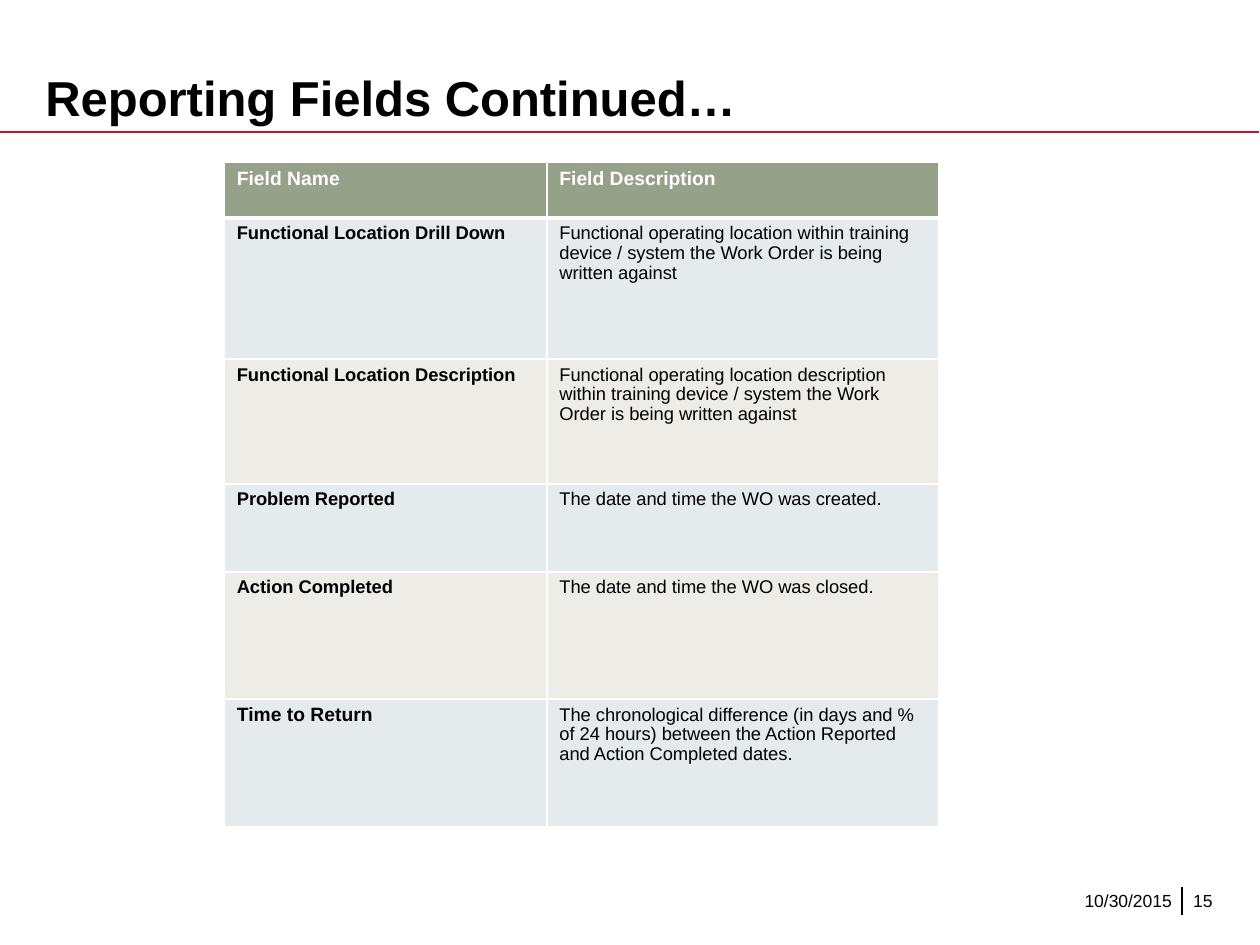
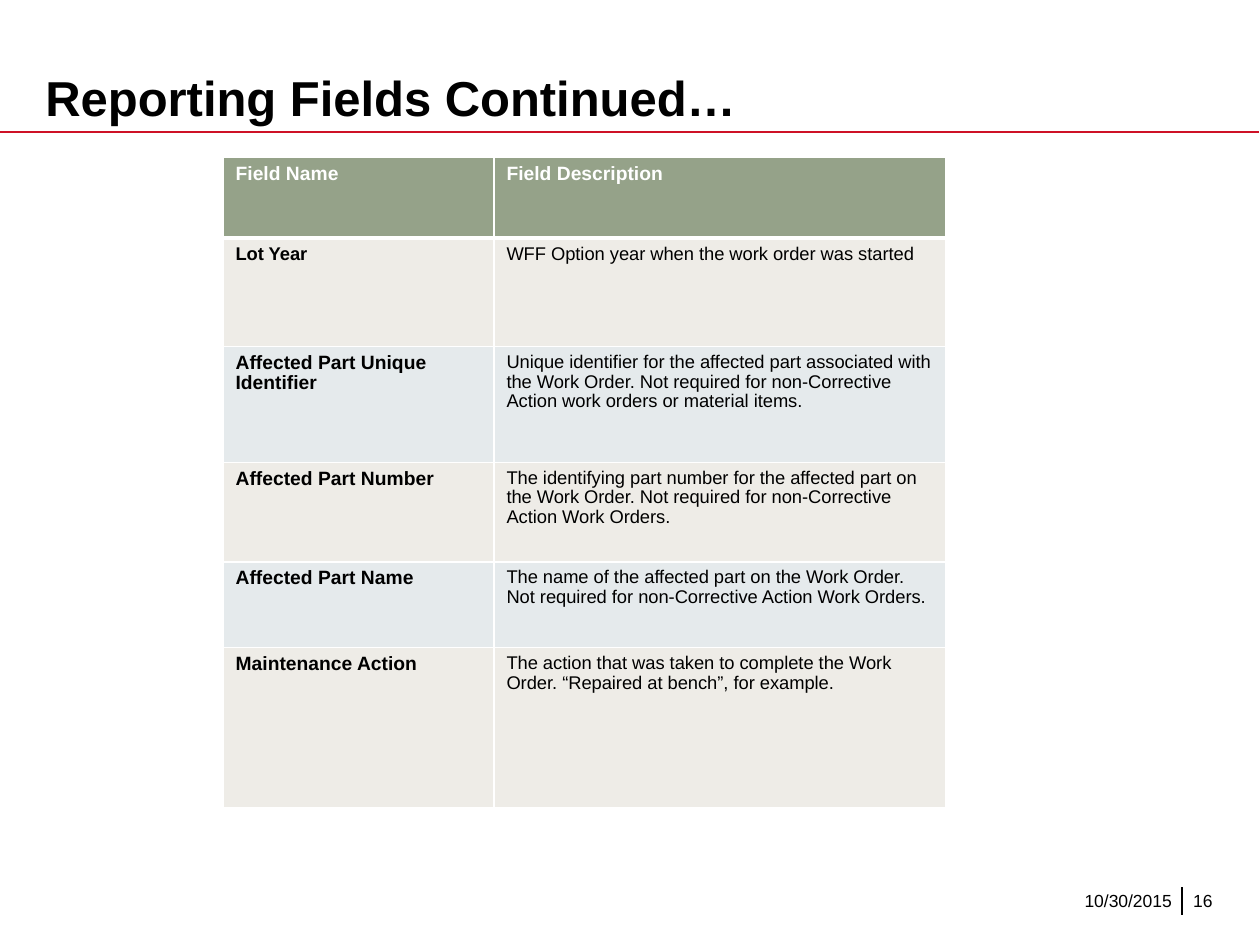
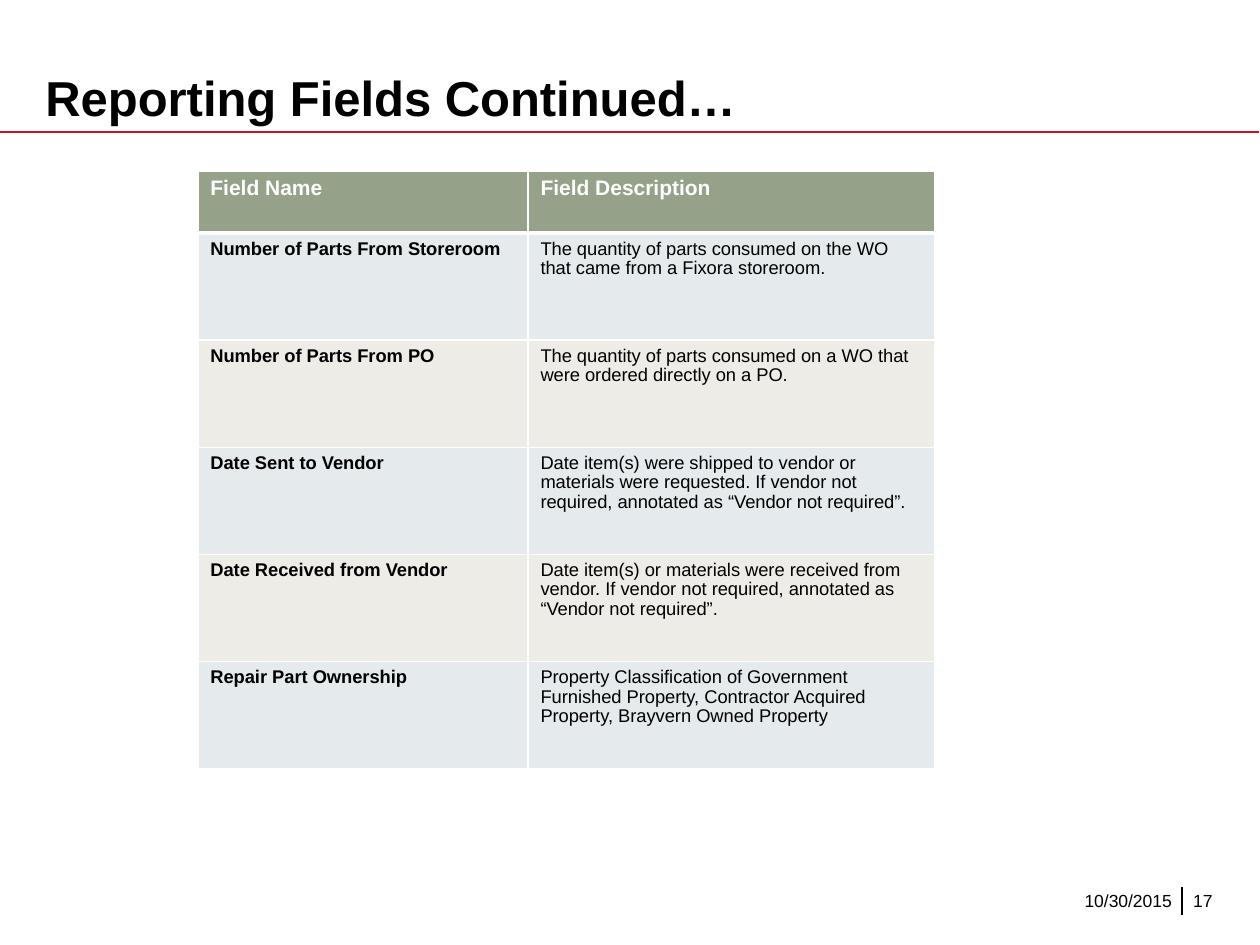
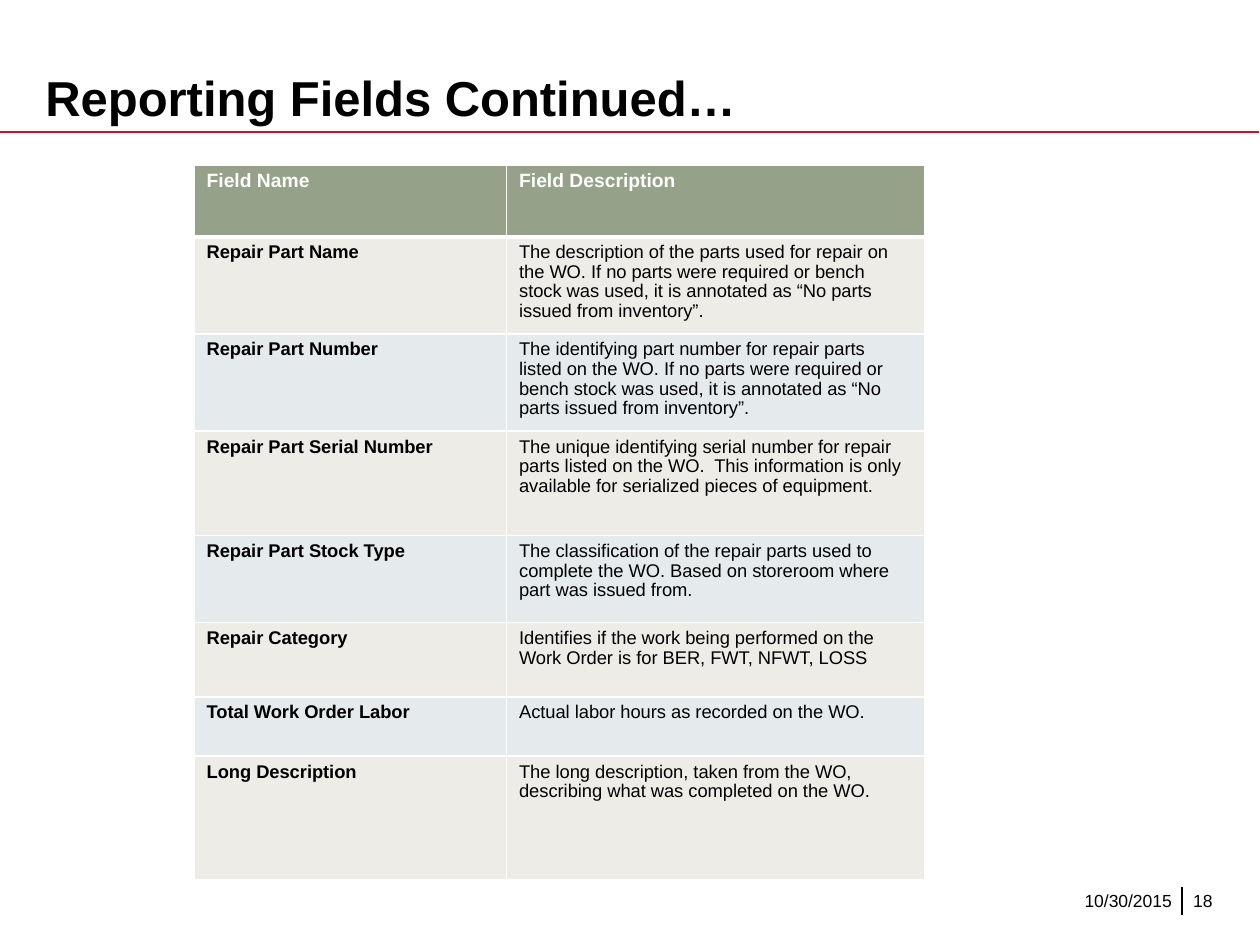
from dataclasses import dataclass

from lxml import etree
from pptx import Presentation
from pptx.dml.color import RGBColor
from pptx.enum import shapes, text
from pptx.oxml import ns
from pptx.util import Inches, Pt


@dataclass(frozen=True)
class Theme:
    font: str = "Arial"
    ink: str = "000000"
    paper: str = "FFFFFF"
    rule: str = "CE1126"
    header: str = "95A289"
    blue: str = "E5EAEC"
    sand: str = "EEECE7"
    title_size: float = 28
    label_size: float = 11
    body_size: float = 10.5
    footer_size: float = 10
    line_spacing: float = 0.96


class Deck:
    """Builds the report slides in one shared style."""

    def __init__(self, theme):
        self.theme = theme
        self.prs = Presentation()
        self.prs.slide_width, self.prs.slide_height = Inches(10), Inches(7.5)
        self.slide = None

    def style(self, paragraph, size, color, bold=False):
        for run in paragraph.runs:
            run.font.name = self.theme.font
            run.font.size = Pt(size)
            run.font.bold = bold
            run.font.color.rgb = RGBColor.from_string(color)

    def start(self, heading, date, number):
        self.slide = self.prs.slides.add_slide(self.prs.slide_layouts[5])
        self.line(0, 1.05, 9.99, 1.05, self.theme.rule)
        self.line(9.38, 7.04, 9.38, 7.26, self.theme.ink)
        self.title(heading)
        self.footer(date, 6.97, 2.33, 0.1, text.PP_ALIGN.RIGHT)
        self.footer(str(number), 9.47, 0.46, 0, text.PP_ALIGN.LEFT)

    def line(self, x1, y1, x2, y2, color):
        rule = self.slide.shapes.add_connector(
            shapes.MSO_CONNECTOR.STRAIGHT, Inches(x1), Inches(y1), Inches(x2), Inches(y2))
        rule.line.color.rgb = RGBColor.from_string(color)
        rule.line.width = Pt(1)
        etree.SubElement(rule._element.spPr, ns.qn("a:effectLst"))

    def title(self, heading):
        title = self.slide.shapes.title
        title.left, title.top = Inches(0.26), Inches(0.3)
        title.width, title.height = Inches(6.52), Inches(0.75)
        frame = title.text_frame
        frame.text = heading
        frame.auto_size = text.MSO_AUTO_SIZE.NONE
        frame.vertical_anchor = text.MSO_ANCHOR.BOTTOM
        frame.paragraphs[0].alignment = text.PP_ALIGN.LEFT
        self.style(frame.paragraphs[0], self.theme.title_size, self.theme.ink, True)

    def footer(self, words, left, width, inset, align):
        frame = self.slide.shapes.add_textbox(
            Inches(left), Inches(6.95), Inches(width), Inches(0.4)).text_frame
        frame.text = words
        frame.word_wrap = True
        frame.margin_left, frame.margin_right = Inches(inset), 0
        frame.vertical_anchor = text.MSO_ANCHOR.MIDDLE
        frame.paragraphs[0].alignment = align
        self.style(frame.paragraphs[0], self.theme.footer_size, self.theme.ink)

    def borders(self, cell, top=1, bottom=1):
        widths = {"lnL": 1, "lnR": 1, "lnT": top, "lnB": bottom}
        props = cell._tc.get_or_add_tcPr()
        for place, (tag, width) in enumerate(widths.items()):
            edge = etree.Element(ns.qn(f"a:{tag}"), w=str(Pt(width)))
            fill = etree.SubElement(edge, ns.qn("a:solidFill"))
            etree.SubElement(fill, ns.qn("a:srgbClr"), val=self.theme.paper)
            props.insert(place, edge)

    def cell(self, cell, words, size, color, bold, fill):
        cell.text = words
        paragraph = cell.text_frame.paragraphs[0]
        paragraph.line_spacing = self.theme.line_spacing
        self.style(paragraph, size, color, bold)
        cell.fill.solid()
        cell.fill.fore_color.rgb = RGBColor.from_string(fill)

    def field_table(self, left, top, widths, heights, fields, bands,
                    header_size=None, large_labels=()):
        theme = self.theme
        grid = self.slide.shapes.add_table(
            len(heights), len(widths), Inches(left), Inches(top),
            Inches(sum(widths)), Inches(sum(heights))).table
        for column, width in zip(grid.columns, widths):
            column.width = Inches(width)
        for row, height in zip(grid.rows, heights):
            row.height = Inches(height)
        for col, heading in enumerate(("Field Name", "Field Description")):
            self.cell(grid.cell(0, col), heading, header_size or theme.label_size,
                      theme.paper, True, theme.header)
            self.borders(grid.cell(0, col), bottom=3)
        for row, (name, description) in enumerate(fields, 1):
            band = bands[(row - 1) % 2]
            name_size = theme.label_size if row in large_labels else theme.body_size
            self.cell(grid.cell(row, 0), name, name_size, theme.ink, True, band)
            self.cell(grid.cell(row, 1), description, theme.body_size, theme.ink, False, band)
            for col in range(2):
                self.borders(grid.cell(row, col), top=3 if row == 1 else 1)


theme = Theme()
blue_first = (theme.blue, theme.sand)
sand_first = (theme.sand, theme.blue)

pages = [
    dict(left=1.78, top=1.29, widths=(2.56, 3.11), bands=blue_first, large_labels=(5,),
         heights=(0.44, 1.12, 0.99, 0.7, 1.01, 1.01), fields=[
        ("Functional Location Drill Down",
         "Functional operating location within training device / system the Work Order is "
         "being written against"),
        ("Functional Location Description",
         "Functional operating location description within training device / system the "
         "Work Order is being written against"),
        ("Problem Reported", "The date and time the WO was created."),
        ("Action Completed", "The date and time the WO was closed."),
        ("Time to Return",
         "The chronological difference (in days and % of 24 hours) between the Action "
         "Reported and Action Completed dates."),
    ]),
    dict(left=1.77, top=1.25, widths=(2.15, 3.59), bands=sand_first, large_labels=range(2, 6),
         heights=(0.64, 0.86, 0.92, 0.79, 0.68, 1.27), fields=[
        ("Lot Year", "WFF Option year when the work order was started"),
        ("Affected Part Unique Identifier",
         "Unique identifier for the affected part associated with the Work Order. Not "
         "required for non-Corrective Action work orders or material items."),
        ("Affected Part Number",
         "The identifying part number for the affected part on the Work Order. Not "
         "required for non-Corrective Action Work Orders."),
        ("Affected Part Name",
         "The name of the affected part on the Work Order. Not required for "
         "non-Corrective Action Work Orders."),
        ("Maintenance Action",
         "The action that was taken to complete the Work Order. “Repaired at bench”, "
         "for example."),
    ]),
    dict(left=1.57, top=1.36, widths=(2.62, 3.23), bands=blue_first, header_size=12,
         heights=(0.49,) + (0.85,) * 5, fields=[
        ("Number of Parts From Storeroom",
         "The quantity of parts consumed on the WO that came from a Fixora storeroom."),
        ("Number of Parts From PO",
         "The quantity of parts consumed on a WO that were ordered directly on a PO."),
        ("Date Sent to Vendor",
         "Date item(s) were shipped to vendor or materials were requested. If vendor not "
         "required, annotated as “Vendor not required”."),
        ("Date Received from Vendor",
         "Date item(s) or materials were received from vendor. If vendor not required, "
         "annotated as “Vendor not required”."),
        ("Repair Part Ownership",
         "Property Classification of Government Furnished Property, Contractor Acquired "
         "Property, Brayvern Owned Property"),
    ]),
    dict(left=1.54, top=1.31, widths=(2.48, 3.32), bands=sand_first,
         heights=(0.57, 0.58, 0.58, 0.83, 0.69, 0.59, 0.47, 0.98), fields=[
        ("Repair Part Name",
         "The description of the parts used for repair on the WO. If no parts were "
         "required or bench stock was used, it is annotated as “No parts issued from "
         "inventory”."),
        ("Repair Part Number",
         "The identifying part number for repair parts listed on the WO. If no parts were "
         "required or bench stock was used, it is annotated as “No parts issued from "
         "inventory”."),
        ("Repair Part Serial Number",
         "The unique identifying serial number for repair parts listed on the WO.  This "
         "information is only available for serialized pieces of equipment."),
        ("Repair Part Stock Type",
         "The classification of the repair parts used to complete the WO. Based on "
         "storeroom where part was issued from."),
        ("Repair Category",
         "Identifies if the work being performed on the Work Order is for BER, FWT, NFWT, LOSS"),
        ("Total Work Order Labor", "Actual labor hours as recorded on the WO."),
        ("Long Description",
         "The long description, taken from the WO, describing what was completed on the WO."),
    ]),
]

deck = Deck(theme)
for number, page in enumerate(pages, 15):
    deck.start("Reporting Fields Continued…", "10/30/2015", number)
    deck.field_table(**page)
deck.prs.save("out.pptx")
